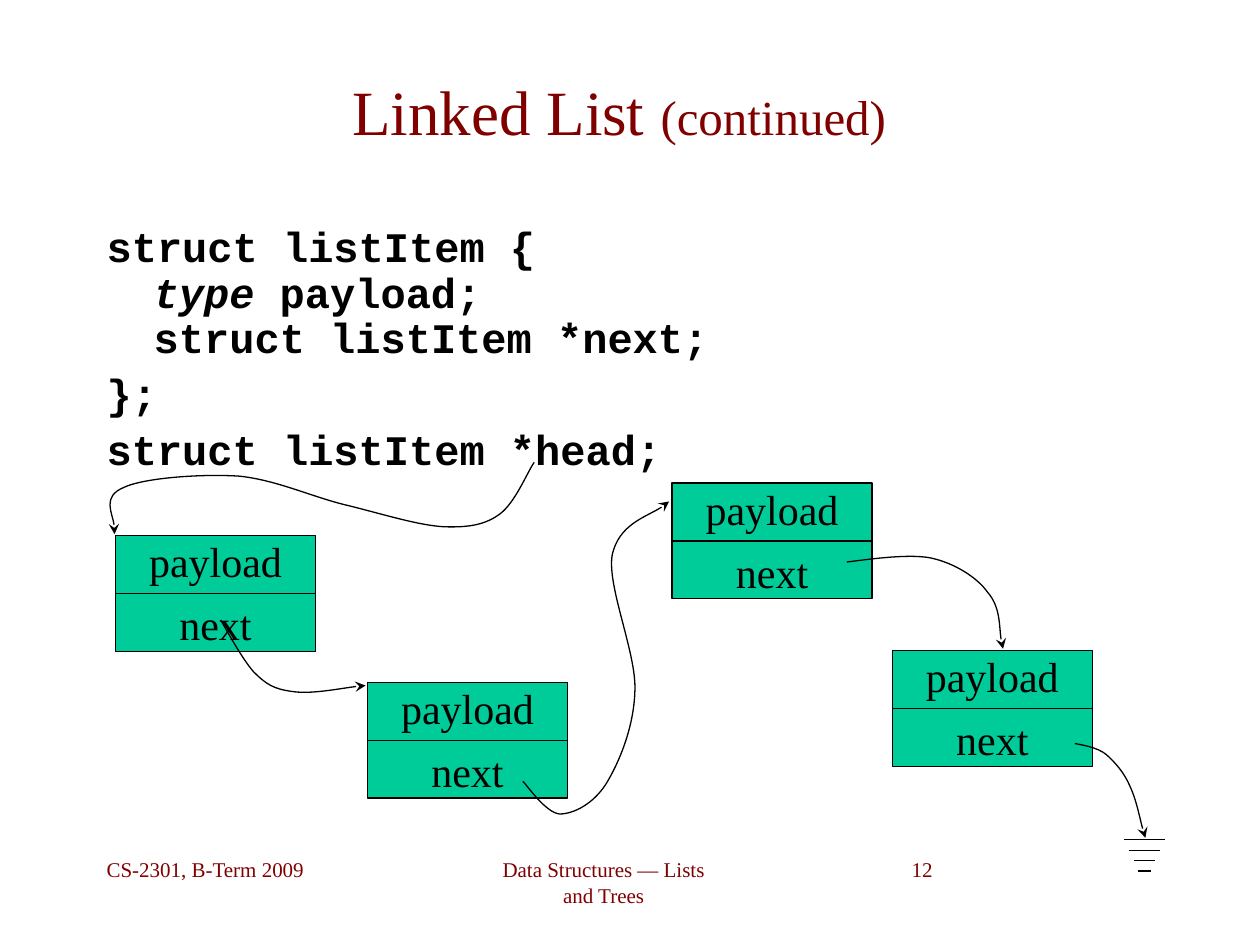
from dataclasses import dataclass

import pptx
import pptx.dml.color
import pptx.enum.shapes
import pptx.enum.text
import pptx.oxml
import pptx.oxml.ns
import pptx.util

Cm = pptx.util.Cm
Pt = pptx.util.Pt
ALIGN = pptx.enum.text.PP_ALIGN
ANCHOR = pptx.enum.text.MSO_ANCHOR
SERIF, MONO = "Times New Roman", "Courier New"
RED, BLACK, GREEN = "800000", "000000", "00CC99"
WIDE, HIGH = 4.03, 2.33


@dataclass
class Note:
    text: str
    left: float
    width: float
    height: float
    align: ALIGN


@dataclass
class Node:
    left: float
    top: float


@dataclass
class Link:
    """Start point, then two control points and an end point per curve."""
    points: list[tuple[float, float]]


NOTES = [
    Note("Data Structures — Lists and Trees", 9.73, 4.88, 1.27, ALIGN.CENTER),
    Note("CS-2301, B-Term 2009", 1.9, 5.08, 1.32, ALIGN.LEFT),
    Note("12", 16.93, 2.12, 1.06, ALIGN.RIGHT),
]
NODES = [Node(2.33, 10.8), Node(17.99, 13.12), Node(7.41, 13.76), Node(13.55, 9.74)]
LINKS = [
    Link([(10.54, 15.75), (10.64, 15.85), (11, 16.38), (11.28, 16.41),
          (11.56, 16.41), (11.96, 16.21), (12.22, 15.8),
          (12.47, 15.39), (12.78, 14.68), (12.8, 13.92),
          (12.83, 13.16), (12.24, 11.84), (12.34, 11.2),
          (12.47, 10.57), (13.26, 10.34), (13.49, 10.11)]),
    Link([(4.45, 12.5), (4.55, 12.67), (4.88, 13.28), (5.11, 13.54),
          (5.36, 13.79), (5.51, 13.89), (5.89, 13.94),
          (6.27, 14), (7.06, 13.84), (7.37, 13.82)]),
    Link([(21.67, 14.99), (21.77, 15.01), (22.12, 15.06), (22.3, 15.21),
          (22.48, 15.37), (22.66, 15.57), (22.78, 15.85),
          (22.91, 16.13), (23.01, 16.66), (23.09, 16.89)]),
    Link([(10.77, 9.32), (10.64, 9.5), (10.39, 10.13), (10.08, 10.36),
          (9.8, 10.57), (9.47, 10.64), (8.94, 10.62),
          (8.43, 10.59), (7.7, 10.36), (7.01, 10.19),
          (6.32, 10.03), (5.59, 9.68), (4.83, 9.6),
          (4.09, 9.55), (2.9, 9.63), (2.49, 9.83),
          (2.06, 10.01), (2.36, 10.57), (2.31, 10.77)]),
    Link([(17.07, 11.33), (17.35, 11.3), (18.29, 11.15), (18.77, 11.25),
          (19.23, 11.35), (19.69, 11.63), (19.91, 11.94),
          (20.17, 12.24), (20.14, 12.83), (20.22, 13.08)]),
]
# Each paragraph is a list of lines; each line is a list of (text, italic) runs.
CODE = [
    [[("struct listItem {", False)],
     [("type", True), (" payload;", False)],
     [("struct listItem *next;", False)]],
    [[("};", False)]],
    [[("struct listItem *head;", False)]],
]


def paint(color, value: str) -> None:
    color.rgb = pptx.dml.color.RGBColor.from_string(value)


def ink(line) -> None:
    line.width = Pt(0.75)
    paint(line.color, BLACK)


def make(tag: str):
    return pptx.oxml.parse_xml(f"<a:{tag} {pptx.oxml.ns.nsdecls('a')}/>")


def write(para, text: str, size: int, face: str, color: str):
    run = para.add_run()
    run.text = text
    run.font.size = Pt(size)
    run.font.name = face
    paint(run.font.color, color)
    return run


def add_box(shapes, left: float, top: float, width: float, height: float):
    box = shapes.add_textbox(Cm(left), Cm(top), Cm(width), Cm(height))
    box.text_frame.word_wrap = True
    return box.text_frame


def add_line(shapes, left: float, right: float, y: float) -> None:
    line = shapes.add_connector(
        pptx.enum.shapes.MSO_CONNECTOR.STRAIGHT, Cm(left), Cm(y), Cm(right), Cm(y))
    ink(line.line)
    line.element.spPr.append(make("effectLst"))


def add_title(slide) -> None:
    title = slide.shapes.title
    title.left, title.top = Cm(1.69), Cm(0.85)
    title.width, title.height = Cm(21.59), Cm(2.75)
    frame = title.text_frame
    frame.vertical_anchor = ANCHOR.MIDDLE
    para = frame.paragraphs[0]
    para.alignment = ALIGN.CENTER
    write(para, "Linked List ", 36, SERIF, RED)
    write(para, "(continued)", 28, SERIF, RED)


def add_note(shapes, note: Note) -> None:
    frame = add_box(shapes, note.left, 17.15, note.width, note.height)
    para = frame.paragraphs[0]
    para.alignment = note.align
    write(para, note.text, 12, SERIF, RED)


def add_code(shapes) -> None:
    frame = add_box(shapes, 1.9, 4.23, 21.59, 5.51)
    frame.margin_top = Cm(0.34)
    for i, lines in enumerate(CODE):
        para = frame.add_paragraph() if i else frame.paragraphs[0]
        para.line_spacing = 0.9
        para.space_before = Pt(6 if i else 0)
        props = para._p.get_or_add_pPr()
        props.set("marL", str(Cm(0.95)))
        props.set("indent", str(-Cm(0.95)))
        for j, runs in enumerate(lines):
            if j:
                para.add_line_break()
            for text, slant in runs:
                run = write(para, text, 24, MONO, BLACK)
                run.font.bold = True
                run.font.italic = slant


def add_node(shapes, node: Node) -> None:
    group = shapes.add_group_shape().shapes
    rect = group.add_shape(pptx.enum.shapes.MSO_SHAPE.RECTANGLE, Cm(node.left),
                           Cm(node.top), Cm(WIDE), Cm(HIGH))
    rect.shadow.inherit = False
    rect.fill.solid()
    paint(rect.fill.fore_color, GREEN)
    ink(rect.line)
    add_line(group, node.left, node.left + WIDE, node.top + HIGH / 2)
    for text, drop in (("payload", 0), ("next", 1.27)):
        frame = add_box(group, node.left, node.top + drop, WIDE, 1.02)
        frame.margin_left = frame.margin_right = 0
        frame.margin_top = frame.margin_bottom = 0
        frame.vertical_anchor = ANCHOR.MIDDLE
        para = frame.paragraphs[0]
        para.alignment = ALIGN.CENTER
        write(para, text, 24, SERIF, BLACK)


def add_link(shapes, link: Link) -> None:
    """Draw the points as a freeform, then turn each three segments into a curve."""
    first, *rest = [(Cm(x), Cm(y)) for x, y in link.points]
    pen = shapes.build_freeform(*first)
    pen.add_line_segments(rest, close=False)
    shape = pen.convert_to_shape()
    shape.shadow.inherit = False
    shape.fill.background()
    ink(shape.line)
    tail = make("tailEnd")
    tail.set("type", "stealth")
    shape.line._get_or_add_ln().append(tail)
    steps = list(shape.element.iter(pptx.oxml.ns.qn("a:lnTo")))
    track = steps[0].getparent()
    for i in range(0, len(steps), 3):
        curve = make("cubicBezTo")
        for step in steps[i:i + 3]:
            curve.append(step[0])
            track.remove(step)
        track.append(curve)


def add_ground(shapes) -> None:
    group = shapes.add_group_shape().shapes
    for i, width in enumerate((0.84, 0.64, 0.42, 0.26)):
        add_line(group, 23.07 - width / 2, 23.07 + width / 2, 16.93 + 0.21 * i)


def main() -> None:
    deck = pptx.Presentation()
    deck.slide_width, deck.slide_height = Cm(25.4), Cm(19.05)
    slide = deck.slides.add_slide(deck.slide_layouts[5])
    shapes = slide.shapes
    for note in NOTES:
        add_note(shapes, note)
    add_title(slide)
    add_code(shapes)
    for node in NODES:
        add_node(shapes, node)
    add_ground(shapes)
    for link in LINKS:
        add_link(shapes, link)
    deck.save("out.pptx")


if __name__ == "__main__":
    main()
